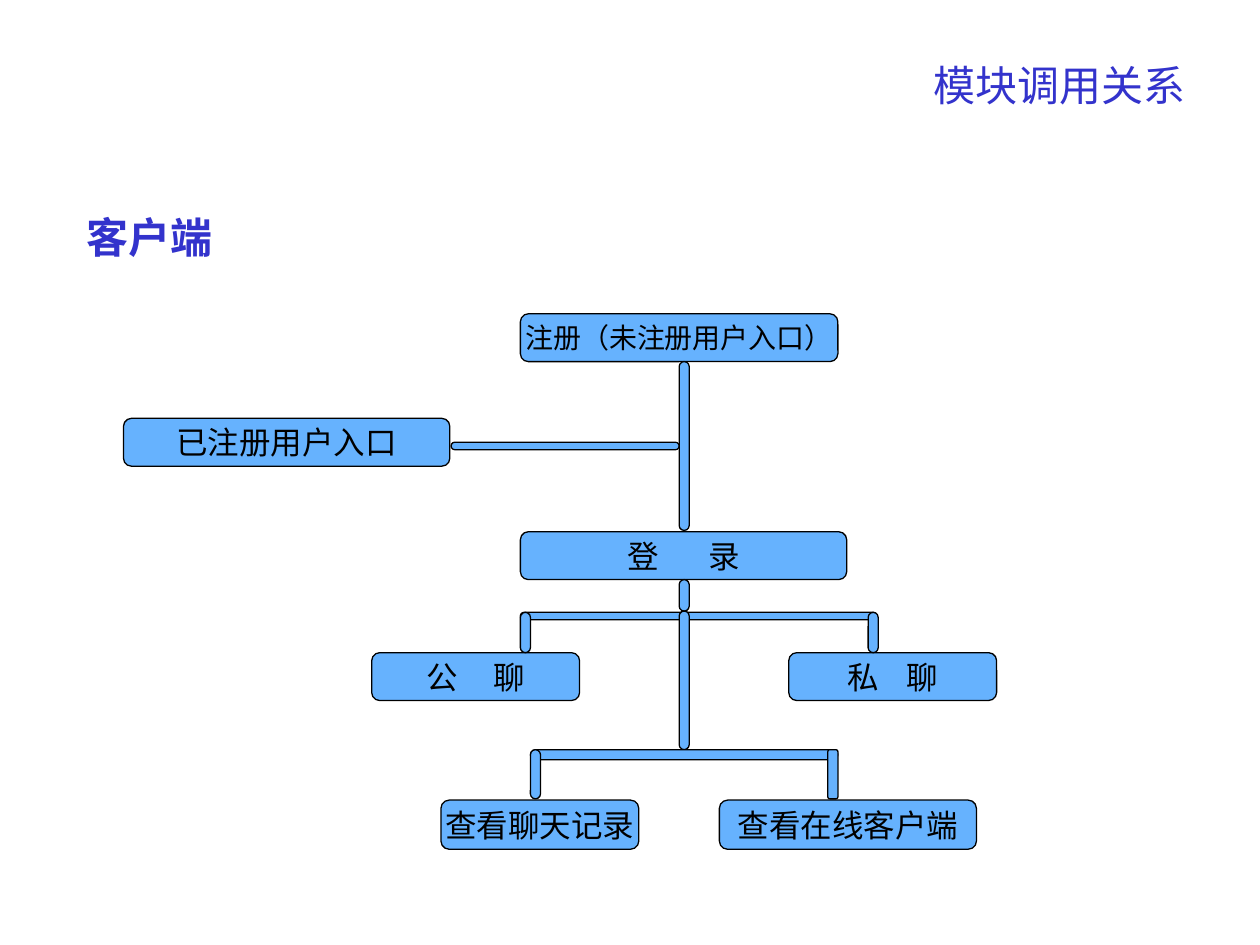
from pptx import Presentation
from pptx.dml.color import RGBColor
from pptx.enum.shapes import MSO_SHAPE
from pptx.enum.text import MSO_ANCHOR, PP_ALIGN
from pptx.util import Inches, Pt

ROUNDED = MSO_SHAPE.ROUNDED_RECTANGLE
MIDDLE, TOP = MSO_ANCHOR.MIDDLE, MSO_ANCHOR.TOP
LEFT, CENTER, RIGHT = PP_ALIGN.LEFT, PP_ALIGN.CENTER, PP_ALIGN.RIGHT
HEADING_BLUE = RGBColor(0x33, 0x33, 0xCC)
MODULE_BLUE = RGBColor(0x66, 0xB2, 0xFE)
BLACK = RGBColor(0, 0, 0)

PIPE = 0.08
BRANCH = 0.06
TRUNK_X = 5.39


def add_rounded(left, top, width, height, rounding):
    block = slide.shapes.add_shape(
        ROUNDED, Inches(left), Inches(top), Inches(width), Inches(height))
    block.adjustments[0] = rounding
    block.shadow.inherit = False
    block.fill.solid()
    block.fill.fore_color.rgb = MODULE_BLUE
    block.line.color.rgb = BLACK
    block.line.width = Pt(0.75)
    return block


def style_paragraph(paragraph, size, color, alignment):
    paragraph.alignment = alignment
    paragraph.font.name = "Arial"
    paragraph.font.size = Pt(size)
    paragraph.font.color.rgb = color


prs = Presentation()
prs.slide_width, prs.slide_height = Inches(10), Inches(7.5)
slide = prs.slides.add_slide(prs.slide_layouts[6])

headings = [
    ("模块调用关系", 0.51, 0.42, 9, RIGHT, MIDDLE, False),
    ("客户端", 0.59, 1.63, 5.35, LEFT, TOP, True),
]
for label, left, top, width, alignment, anchor, bold in headings:
    heading = slide.shapes.add_textbox(
        Inches(left), Inches(top), Inches(width), Inches(0.5)).text_frame
    heading.word_wrap = True
    heading.vertical_anchor = anchor
    heading.text = label
    style_paragraph(heading.paragraphs[0], 24, HEADING_BLUE, alignment)
    heading.paragraphs[0].font.bold = bold

modules = [
    (["注册（未注册用户入口）"], 4.13, 2.49, 2.52, 0.38, 16, 0),
    (["登 ", "录"], 4.13, 4.22, 2.59, 0.38, 18, 12),
    (["已注册用户入口"], 0.98, 3.32, 2.59, 0.38, 18, 0),
    (["公 ", "聊"], 2.95, 5.18, 1.65, 0.38, 18, 8),
    (["私 ", "聊"], 6.26, 5.18, 1.65, 0.38, 18, 6),
    (["查看聊天记录"], 3.5, 6.35, 1.57, 0.39, 18, 0),
    (["查看在线客户端"], 5.71, 6.35, 2.04, 0.39, 18, 0),
]
for parts, left, top, width, height, size, spacing in modules:
    module = add_rounded(left, top, width, height, 0.167).text_frame
    module.word_wrap = False
    module.vertical_anchor = MIDDLE
    label = module.paragraphs[0]
    style_paragraph(label, size, BLACK, CENTER)
    for part in parts:
        label.add_run().text = part
    if spacing:
        label.runs[0]._r.get_or_add_rPr().set("spc", str(spacing * 100))

pipes = [
    (TRUNK_X, 2.87, PIPE, 1.34, 0.5),
    (3.58, 3.51, 1.81, BRANCH, 0.5),
    (TRUNK_X, 4.6, PIPE, 0.25, 0.5),
    (4.13, 4.86, 2.83, BRANCH, 0.5),
    (4.13, 4.86, PIPE, 0.32, 0.5),
    (6.89, 4.86, PIPE, 0.32, 0.5),
    (TRUNK_X, 4.85, PIPE, 1.1, 0.5),
    (4.21, 5.95, 2.44, PIPE, 0.5),
    (4.21, 5.95, PIPE, 0.39, 0.5),
    (6.57, 5.95, PIPE, 0.39, 0.2),
]
for pipe in pipes:
    add_rounded(*pipe)

prs.save("out.pptx")
